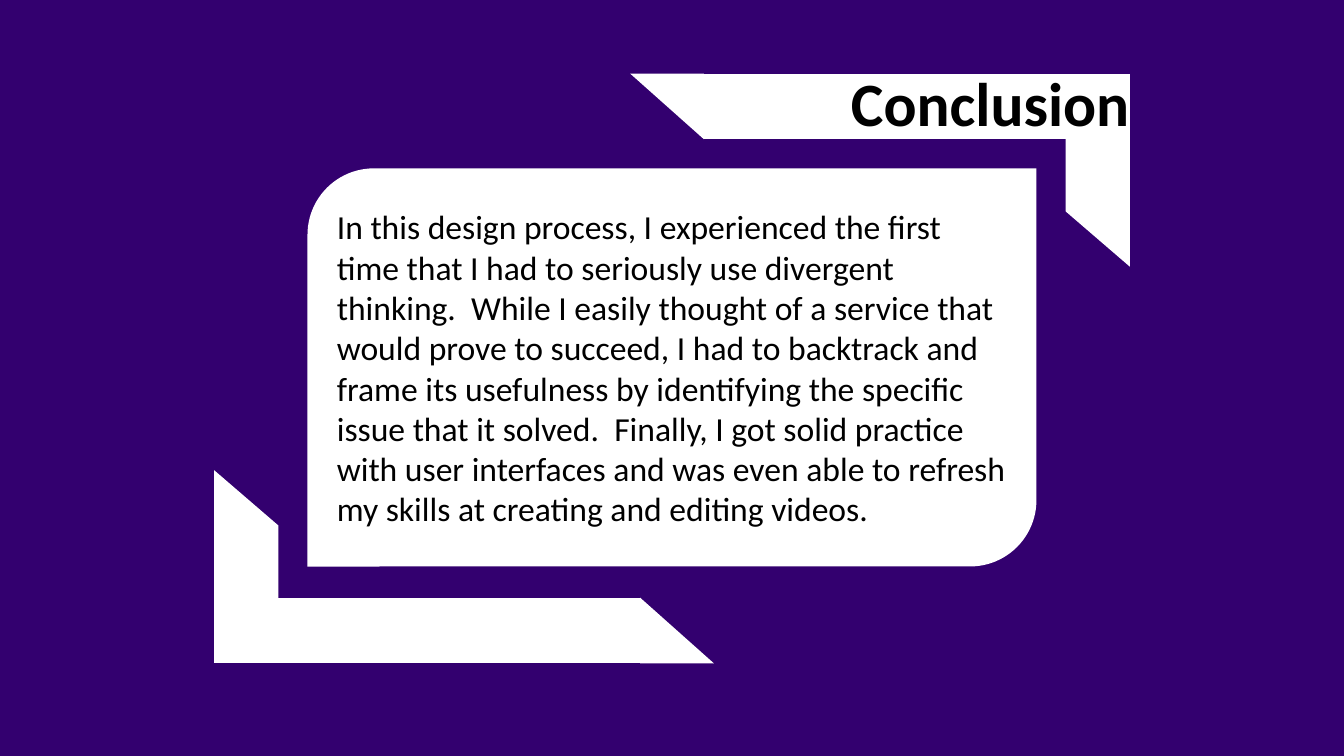
import dataclasses

import pptx
import pptx.dml.color
import pptx.enum.shapes
import pptx.enum.text
import pptx.shapes.autoshape
import pptx.slide
import pptx.text.text
import pptx.util

Inches = pptx.util.Inches
Kind = pptx.enum.shapes.MSO_SHAPE
Anchor = pptx.enum.text.MSO_ANCHOR

COLORS = {"purple": "33006F", "white": "FFFFFF", "black": "000000"}
WIDE, HIGH = 13.33, 7.5
TURN_SUM = 7.31  # twice the height of the point the corners turn about
BODY = (
    "In this design process, I experienced the first time that I had to "
    "seriously use divergent thinking.  While I easily thought of a service "
    "that would prove to succeed, I had to backtrack and frame its usefulness "
    "by identifying the specific issue that it solved.  Finally, I got solid "
    "practice with user interfaces and was even able to refresh my skills at "
    "creating and editing videos."
)


@dataclasses.dataclass(frozen=True)
class Part:
    kind: Kind
    left: float
    top: float
    width: float
    height: float
    angle: int = 0

    def turned(self) -> "Part":
        """Give the part turned half round about the card's middle."""
        return dataclasses.replace(
            self,
            left=WIDE - self.left - self.width,
            top=TURN_SUM - self.top - self.height,
            angle=(self.angle + 180) % 360,
        )


LOWER = [
    Part(Kind.HALF_FRAME, 2.28, 4.51, 1.91, 2.22, 270),
    Part(Kind.FLOWCHART_PROCESS, 2.46, 5.93, 3.89, 0.65, 180),
    Part(Kind.RIGHT_TRIANGLE, 6.35, 5.93, 0.73, 0.65),
]
UPPER = [part.turned() for part in LOWER]
CARD = Part(Kind.ROUND_2_DIAG_RECTANGLE, 3.05, 1.67, 7.23, 3.95)


def color(name: str) -> pptx.dml.color.RGBColor:
    return pptx.dml.color.RGBColor.from_string(COLORS[name])


def draw(shapes, part: Part) -> pptx.shapes.autoshape.Shape:
    shape = shapes.add_shape(
        part.kind, Inches(part.left), Inches(part.top),
        Inches(part.width), Inches(part.height),
    )
    shape.rotation = part.angle
    shape.shadow.inherit = False
    shape.fill.solid()
    shape.fill.fore_color.rgb = color("white")
    shape.line.fill.background()
    return shape


def write(frame: pptx.text.text.TextFrame, text: str, size: int,
          bold: bool, space: float) -> None:
    frame.word_wrap = True
    frame.vertical_anchor = Anchor.MIDDLE
    para = frame.paragraphs[0]
    para.alignment = pptx.enum.text.PP_ALIGN.LEFT
    para.line_spacing = space
    run = para.add_run()
    run.text = text
    run.font.name = "Calibri"
    run.font.size = pptx.util.Pt(size)
    run.font.bold = bold
    run.font.color.rgb = color("black")


def add_title(slide: pptx.slide.Slide) -> None:
    title = slide.shapes.title
    title.left, title.top = Inches(8.34), Inches(0.33)
    title.width, title.height = Inches(3.27), Inches(1.45)
    write(title.text_frame, "Conclusion", 44, True, 0.9)
    # The title must lie in front of the white corner.
    slide.shapes.element.append(title.element)


def main() -> None:
    deck = pptx.Presentation()
    deck.slide_width, deck.slide_height = Inches(WIDE), Inches(HIGH)
    slide = deck.slides.add_slide(deck.slide_layouts[5])
    slide.background.fill.solid()
    slide.background.fill.fore_color.rgb = color("purple")
    for corner in (LOWER, UPPER):
        group = slide.shapes.add_group_shape()
        for part in corner:
            draw(group.shapes, part)
    card = draw(slide.shapes, CARD)
    write(card.text_frame, BODY, 24, False, 1.0)
    add_title(slide)
    deck.save("out.pptx")


if __name__ == "__main__":
    main()
